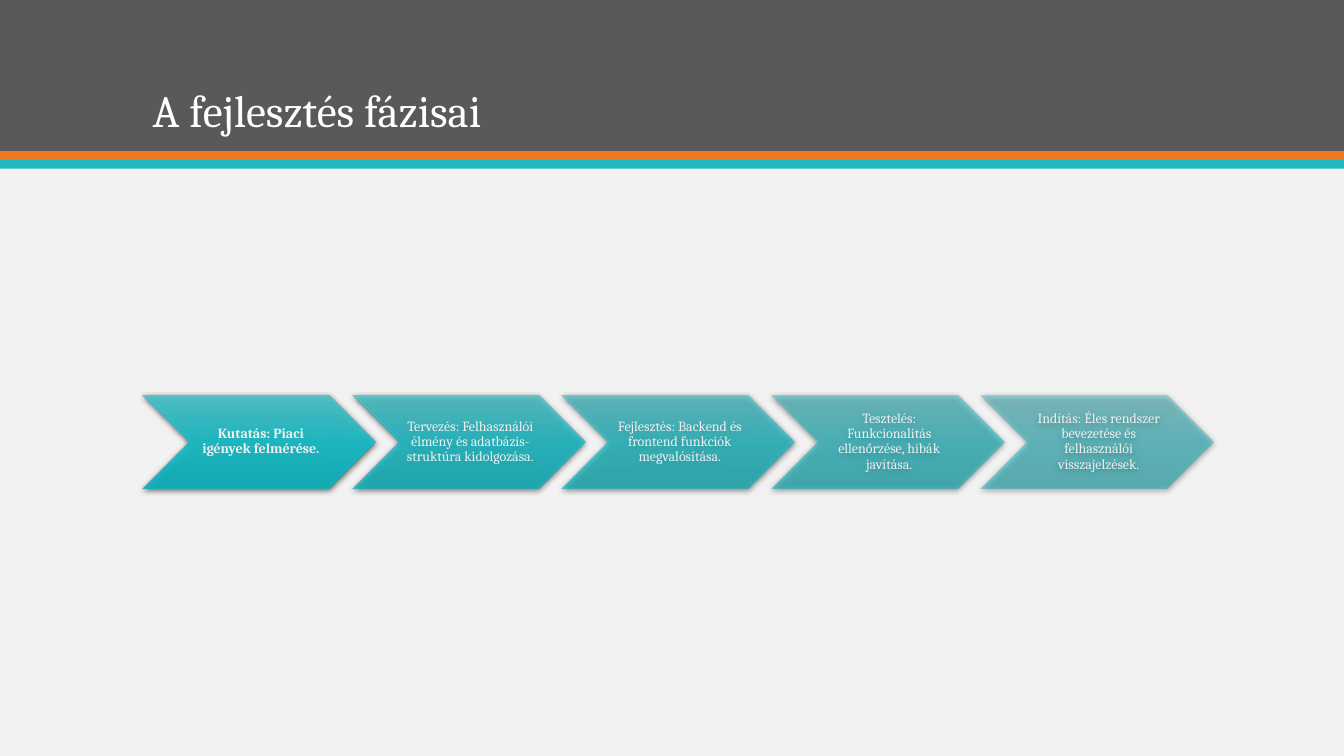
from lxml import etree
from pptx import Presentation
from pptx.dml.color import RGBColor
from pptx.enum.shapes import MSO_SHAPE
from pptx.enum.text import MSO_ANCHOR, PP_ALIGN
from pptx.oxml import parse_xml
from pptx.oxml.ns import nsdecls, qn
from pptx.util import Cm, Pt

RECTANGLE = MSO_SHAPE.RECTANGLE
CHEVRON = MSO_SHAPE.CHEVRON
MIDDLE = MSO_ANCHOR.MIDDLE
BOTTOM = MSO_ANCHOR.BOTTOM
CENTER = PP_ALIGN.CENTER
LEFT = PP_ALIGN.LEFT

FONT = "Cambria"
COLORS = {
    "background": "F2F2F2",
    "header": "595959",
    "orange": "EF7920",
    "teal": "1EB8C1",
    "title": "FFFFFF",
    "phase_text": "EFEFEE",
    "phase_top": "4EC3CB",
    "phase_middle": "16BFC9",
    "phase_bottom": "0CB0BA",
    "shadow": "000000",
}
PHASES = [
    "Kutatás: Piaci igények felmérése.",
    "Tervezés: Felhasználói élmény és adatbázis-struktúra kidolgozása.",
    "Fejlesztés: Backend és frontend funkciók megvalósítása.",
    "Tesztelés: Funkcionalitás ellenőrzése, hibák javítása.",
    "Indítás: Éles rendszer bevezetése és felhasználói visszajelzések.",
]


def color(name):
    return RGBColor.from_string(COLORS[name])


def write_text(shape, text, size, color_name, alignment, anchor, bold=False):
    text_frame = shape.text_frame
    text_frame.word_wrap = True
    text_frame.vertical_anchor = anchor
    text_frame.text = text
    paragraph = text_frame.paragraphs[0]
    paragraph.alignment = alignment
    paragraph.line_spacing = 0.9
    font = paragraph.runs[0].font
    font.name = FONT
    font.size = Pt(size)
    font.bold = bold
    font.color.rgb = color(color_name)


def add_plain_shape(slide, kind, left, top, width, height):
    shape = slide.shapes.add_shape(kind, Cm(left), Cm(top), Cm(width), Cm(height))
    shape.shadow.inherit = False
    shape.line.fill.background()
    return shape


def set_gradient(shape, opacity):
    stops = [(0, "phase_top"), (50, "phase_middle"), (100, "phase_bottom")]
    stop_xml = "".join(
        f'<a:gs pos="{position * 1000}"><a:srgbClr val="{COLORS[name]}">'
        f'<a:alpha val="{opacity * 1000}"/></a:srgbClr></a:gs>'
        for position, name in stops
    )
    gradient = parse_xml(
        f'<a:gradFill {nsdecls("a")} rotWithShape="1"><a:gsLst>{stop_xml}</a:gsLst>'
        '<a:lin ang="5400000" scaled="0"/></a:gradFill>'
    )
    shape.element.spPr.find(qn("a:prstGeom")).addnext(gradient)


def set_shadow(shape):
    effects = shape.element.spPr.find(qn("a:effectLst"))
    shadow = etree.SubElement(
        effects, qn("a:outerShdw"), blurRad=str(Pt(4.5)), dist=str(Pt(1.5)),
        dir="5400000", rotWithShape="0",
    )
    shade = etree.SubElement(shadow, qn("a:srgbClr"), val=COLORS["shadow"])
    etree.SubElement(shade, qn("a:alpha"), val="63000")


def add_header(slide, left, top, width, height):
    stripe = 0.22
    bands = [
        ("header", 0, height),
        ("orange", height, stripe),
        ("teal", height + stripe, stripe),
    ]
    for name, offset, band_height in bands:
        band = add_plain_shape(slide, RECTANGLE, left, top + offset, width, band_height)
        band.fill.solid()
        band.fill.fore_color.rgb = color(name)
    title = slide.shapes.add_textbox(
        Cm(left + 3.6), Cm(top + 0.71), Cm(width - 7.2), Cm(2.87)
    )
    write_text(title, "A fejlesztés fázisai", 32, "title", LEFT, BOTTOM)


def add_phases(slide, left, top, width, height):
    chevron_width = height * 2.5
    pitch = (width - chevron_width) / (len(PHASES) - 1)
    for index, text in enumerate(PHASES):
        chevron = add_plain_shape(
            slide, CHEVRON, left + index * pitch, top, chevron_width, height
        )
        set_gradient(chevron, 90 - 10 * index)
        set_shadow(chevron)
        text_frame = chevron.text_frame
        text_frame.margin_left = Cm(0.11)
        text_frame.margin_right = Cm(0.04)
        text_frame.margin_top = text_frame.margin_bottom = Cm(0.04)
        write_text(chevron, text, 10, "phase_text", CENTER, MIDDLE, bold=index == 0)


def main():
    presentation = Presentation()
    presentation.slide_width = Cm(33.87)
    presentation.slide_height = Cm(19.05)
    slide = presentation.slides.add_slide(presentation.slide_layouts[6])
    slide.background.fill.solid()
    slide.background.fill.fore_color.rgb = color("background")
    add_header(slide, 0, 0, 33.87, 3.81)
    add_phases(slide, 3.6, 9.96, 26.99, 2.35)
    presentation.save("out.pptx")


if __name__ == "__main__":
    main()
